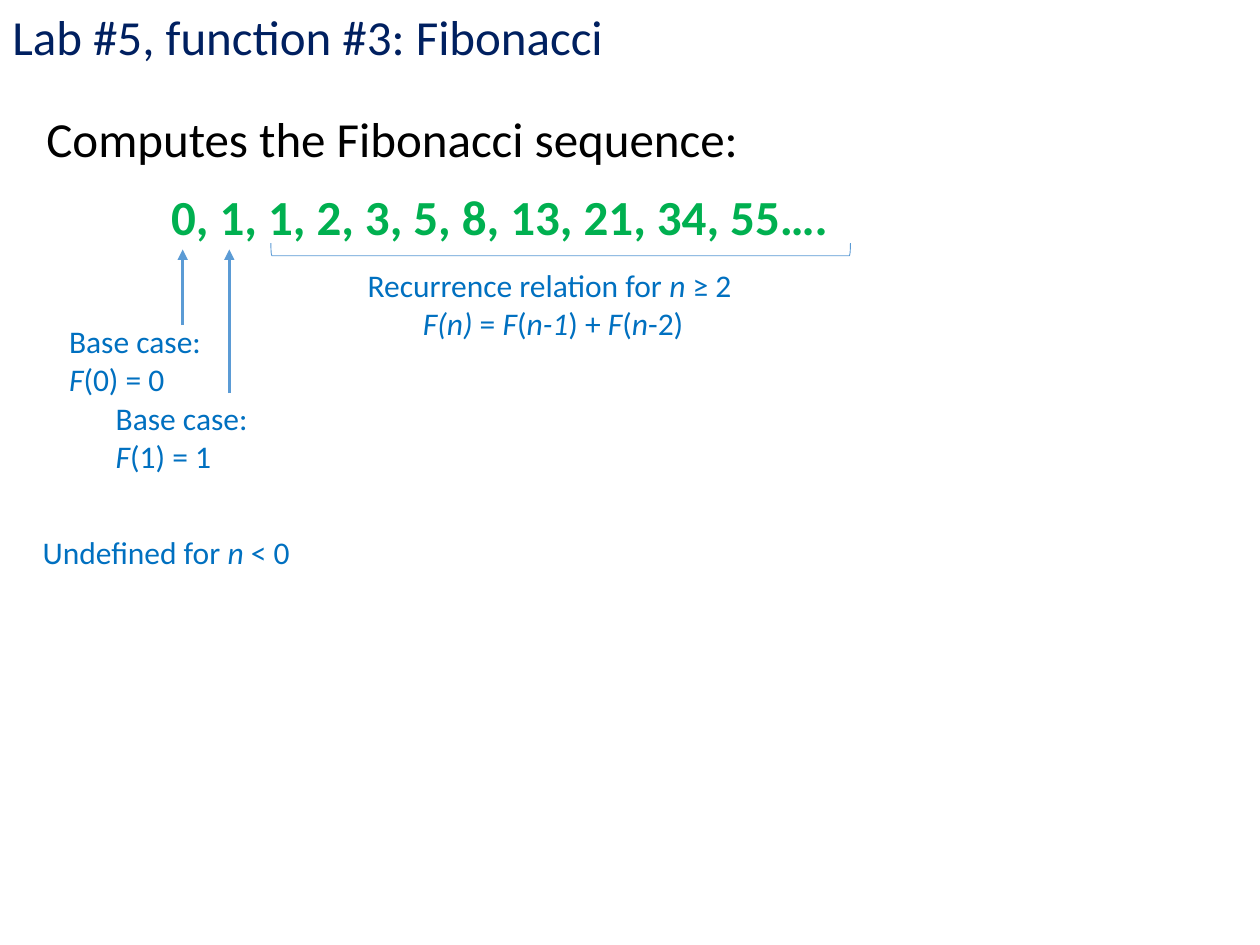
import pptx
import pptx.util
import pptx.dml.color
import pptx.enum.shapes
import pptx.enum.text
import pptx.oxml.ns
import lxml.etree

Inches = pptx.util.Inches
NAVY, BLACK, GREEN, BLUE, LINE = "002060", "000000", "00B050", "0070C0", "5B9BD5"


def color(value):
    return pptx.dml.color.RGBColor.from_string(value)


class SlideWriter:
    font = "Calibri"

    def __init__(self, slide):
        self.slide = slide

    def text(self, box, lines, size, ink, bold=None, centered=False, level=0):
        frame = self.slide.shapes.add_textbox(*map(Inches, box)).text_frame
        frame.word_wrap = True
        frame.auto_size = pptx.enum.text.MSO_AUTO_SIZE.SHAPE_TO_FIT_TEXT
        for index, line in enumerate(lines):
            paragraph = frame.add_paragraph() if index else frame.paragraphs[0]
            if centered:
                paragraph.alignment = pptx.enum.text.PP_ALIGN.CENTER
            if level:
                paragraph.level = level
                paragraph._p.get_or_add_pPr().set("marL", str(Inches(0.5 * level)))
            for position, part in enumerate(line.split("*")):
                if part:
                    run = paragraph.add_run()
                    run.text = part
                    run.font.name = self.font
                    run.font.size = pptx.util.Pt(size)
                    run.font.color.rgb = color(ink)
                    run.font.bold = bold
                    run.font.italic = position % 2 == 1

    def arrow_up(self, x, bottom, top):
        arrow = self.slide.shapes.add_connector(
            pptx.enum.shapes.MSO_CONNECTOR.STRAIGHT,
            Inches(x), Inches(bottom), Inches(x), Inches(top))
        arrow.line.color.rgb = color(LINE)
        arrow.line.width = pptx.util.Pt(1.5)
        qn = pptx.oxml.ns.qn
        lxml.etree.SubElement(arrow.line._get_or_add_ln(), qn("a:tailEnd"), type="triangle")
        lxml.etree.SubElement(arrow._element.spPr, qn("a:effectLst"))

    def bracket_below(self, box):
        bracket = self.slide.shapes.add_shape(
            pptx.enum.shapes.MSO_SHAPE.LEFT_BRACKET, *map(Inches, box))
        bracket.rotation = 270
        bracket.shadow.inherit = False
        bracket.fill.background()
        bracket.line.color.rgb = color(LINE)
        bracket.line.width = pptx.util.Pt(0.5)


deck = pptx.Presentation()
deck.slide_width, deck.slide_height = Inches(10), Inches(7.5)
writer = SlideWriter(deck.slides.add_slide(deck.slide_layouts[6]))

writer.text((0, 0, 8.9, 0.57), ["Lab #5, function #3: Fibonacci"], 28, NAVY)
writer.text((-0.23, 0.81, 8.49, 0.57), ["Computes the Fibonacci sequence:"], 28, BLACK, level=1)
writer.text((0.76, 1.43, 8.49, 0.57), ["0, 1, 1, 2, 3, 5, 8, 13, 21, 34, 55…."],
            28, GREEN, bold=True, level=1)

for n, (x, arrow_bottom, label_top) in enumerate([(1.45, 2.58, 2.51), (1.82, 3.12, 3.12)]):
    writer.arrow_up(x, arrow_bottom, 1.98)
    writer.text((x - 1, label_top, 1.27, 0.71), ["Base case:", f"*F*({n}) = {n}"], 18, BLUE)

writer.bracket_below((4.4, -0.32, 0.1, 4.6))
writer.text((2.09, 2.06, 4.6, 0.71),
            ["Recurrence relation for *n *≥ 2 ", "*F(n)* = *F*(*n-1*) + *F*(*n*-2)"],
            18, BLUE, centered=True)
writer.text((0.24, 4.18, 2.43, 0.4), ["Undefined for *n* < 0"], 18, BLUE)

deck.save("out.pptx")
